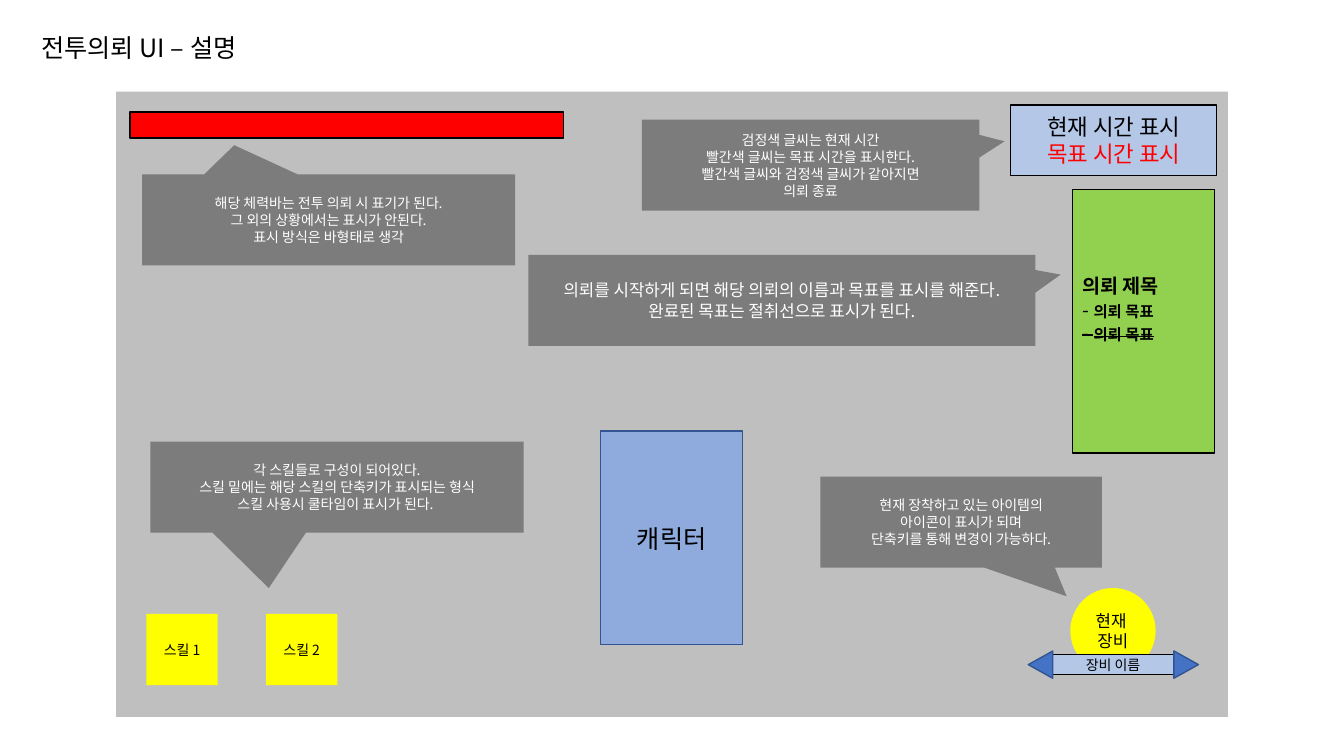
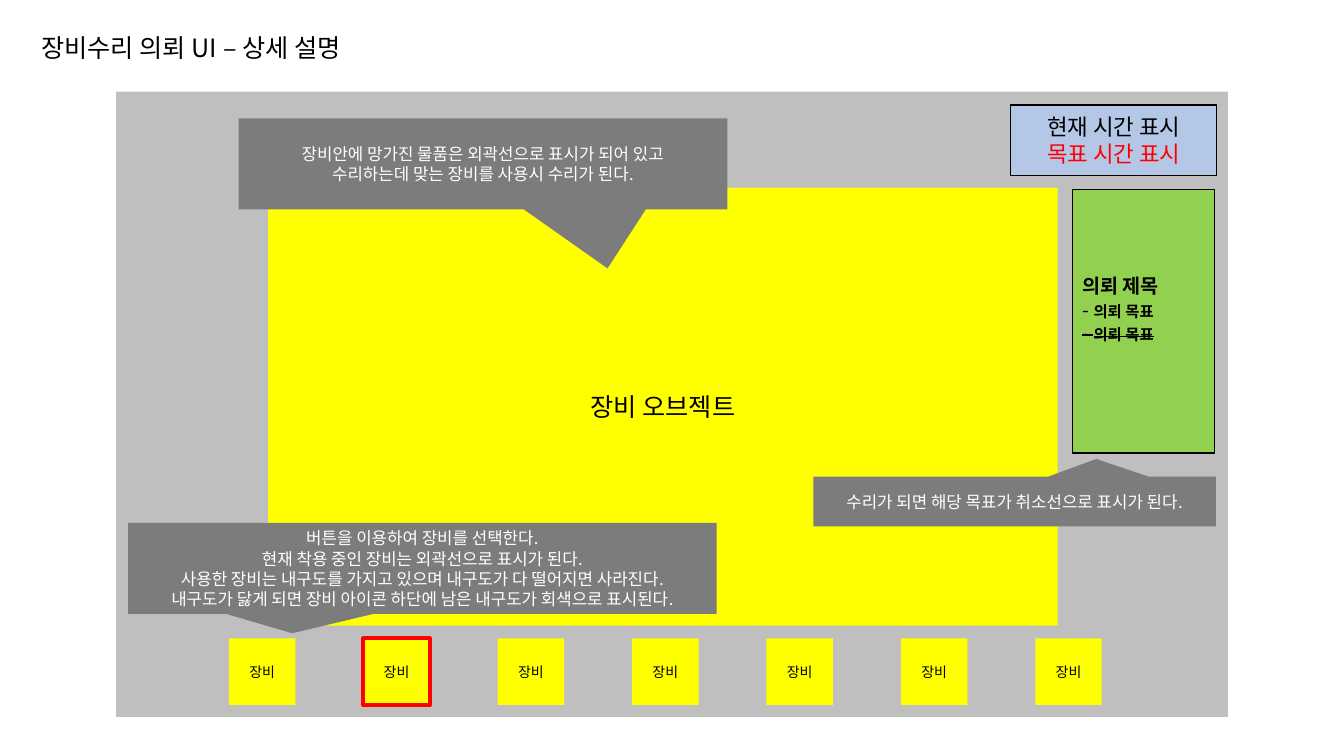
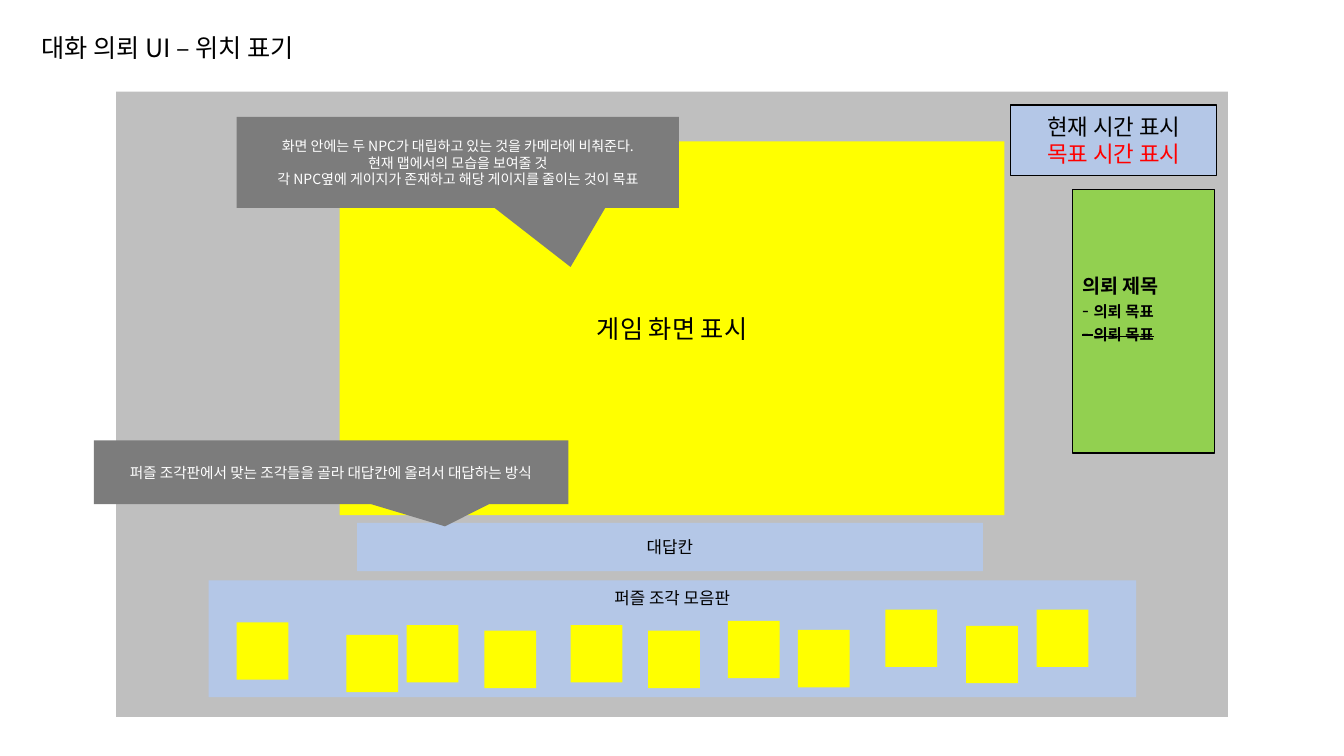
import pptx
import pptx.dml.color
import pptx.enum.shapes
import pptx.enum.text
import pptx.oxml.ns
import pptx.util
from lxml import etree

Pt = pptx.util.Pt
SHAPES = pptx.enum.shapes.MSO_SHAPE
ANCHOR = pptx.enum.text.MSO_ANCHOR
ALIGN = pptx.enum.text.PP_ALIGN

FONT = "Noto Sans CJK KR"
BLACK, WHITE, RED = "000000", "FFFFFF", "FF0000"
YELLOW, GREEN, CANVAS, NOTE = "FFFF00", "92D050", "BFBFBF", "7C7C7C"
PALE_BLUE, MID_BLUE, BLUE, DARK_BLUE = "B4C7E7", "8FAADC", "4472C4", "325491"


def rgb(value):
    """Turn a hex string into a colour."""
    return pptx.dml.color.RGBColor.from_string(value)


def add_run(paragraph, text, size=10, color=BLACK, bold=False, strike=False):
    """Append one formatted run to a paragraph."""
    run = paragraph.add_run()
    run.text = text
    run.font.size = Pt(size)
    run.font.bold = bold
    run.font.color.rgb = rgb(color)
    run.font.name = FONT
    properties = run._r.get_or_add_rPr()
    etree.SubElement(properties, pptx.oxml.ns.qn("a:ea"), typeface=FONT)
    if strike:
        properties.set("strike", "sngStrike")


def add_paragraphs(shape, count, align):
    """Return the requested number of aligned paragraphs of a shape."""
    frame = shape.text_frame
    frame.word_wrap = True
    for _ in range(count - 1):
        frame.add_paragraph()
    for paragraph in frame.paragraphs:
        paragraph.alignment = align
    return frame.paragraphs


def add_box(slide, box, fill=None, line=None, line_width=1, kind=SHAPES.RECTANGLE,
            lines=(), **text_format):
    """Draw a preset shape with optional centred lines of text."""
    shape = slide.shapes.add_shape(kind, *map(Pt, box))
    shape.shadow.inherit = False
    if fill:
        shape.fill.solid()
        shape.fill.fore_color.rgb = rgb(fill)
    else:
        shape.fill.background()
    if line:
        shape.line.color.rgb = rgb(line)
        shape.line.width = Pt(line_width)
    else:
        shape.line.fill.background()
    shape.text_frame.vertical_anchor = ANCHOR.MIDDLE
    if lines:
        for paragraph, text in zip(add_paragraphs(shape, len(lines), ALIGN.CENTER), lines):
            add_run(paragraph, text, **text_format)
    return shape


def add_callout(slide, box, tip, lines, size=10):
    """Draw a grey callout whose tip is given relative to its centre."""
    callout = add_box(slide, box, NOTE, kind=SHAPES.RECTANGULAR_CALLOUT,
                      lines=lines, size=size, color=WHITE)
    callout.adjustments[0], callout.adjustments[1] = tip


def add_title(slide, text, width):
    """Write the slide title."""
    title = slide.shapes.add_textbox(Pt(22.5), Pt(19.5), Pt(width), Pt(29))
    title.text_frame.word_wrap = False
    title.text_frame.auto_size = pptx.enum.text.MSO_AUTO_SIZE.SHAPE_TO_FIT_TEXT
    add_run(title.text_frame.paragraphs[0], text, size=18)


def add_clock(slide):
    """Draw the current and target time box."""
    clock = add_box(slide, (722, 75, 147, 50.5), PALE_BLUE, BLACK)
    current, target = add_paragraphs(clock, 2, ALIGN.CENTER)
    add_run(current, "현재 시간 표시", size=16)
    add_run(target, "목표 시간 표시", size=16, color=RED)


def add_quest(slide):
    """Draw the quest panel with one open and one finished goal."""
    quest = add_box(slide, (766, 135.5, 101.5, 188), GREEN, BLACK)
    quest.text_frame.margin_bottom = Pt(20.5)
    heading, *goals = add_paragraphs(quest, 3, ALIGN.LEFT)
    add_run(heading, "의뢰 제목", size=14, bold=True)
    for goal, finished in zip(goals, (False, True)):
        add_run(goal, "- ", size=14, strike=finished)
        add_run(goal, "의뢰 목표", size=11, bold=True, strike=finished)


def add_screen(presentation, title, title_width):
    """Add a slide with its title and the empty game canvas."""
    slide = presentation.slides.add_slide(presentation.slide_layouts[6])
    add_title(slide, title, title_width)
    add_box(slide, (83, 65.5, 794, 446.5), CANVAS)
    return slide


def build_battle(presentation):
    """Build the battle quest slide."""
    slide = add_screen(presentation, "전투의뢰 UI – 설명", 170)
    add_box(slide, (429, 308, 101.5, 152.5), MID_BLUE, DARK_BLUE, lines=["캐릭터"], size=18)
    add_clock(slide)
    add_quest(slide)
    add_box(slide, (93, 80, 309.5, 18.5), RED, BLACK)
    add_box(slide, (764.5, 420, 61, 61), YELLOW, kind=SHAPES.OVAL,
            lines=["현재 ", "장비"], size=12)
    add_box(slide, (751.5, 467.5, 87, 14.5), PALE_BLUE, BLACK, lines=["장비 이름"])
    for left, rotation in ((837.5, 90), (733.5, 270)):
        arrow = add_box(slide, (left, 466, 19.5, 17.5), BLUE, DARK_BLUE,
                        kind=SHAPES.ISOSCELES_TRIANGLE)
        arrow.rotation = rotation
    for index in range(2):
        add_box(slide, (104.5 + 85.5 * index, 438.5, 51, 51), YELLOW,
                lines=[f"스킬 {index + 1}"])
    add_callout(slide, (458.5, 85.5, 241, 65), (0.575, -0.262), [
        "검정색 글씨는 현재 시간",
        "빨간색 글씨는 목표 시간을 표시한다.",
        "빨간색 글씨와 검정색 글씨가 같아지면",
        "의뢰 종료"])
    add_callout(slide, (377.5, 182, 362, 65), (0.55, -0.282), [
        "의뢰를 시작하게 되면 해당 의뢰의 이름과 목표를 표시를 해준다.",
        "완료된 목표는 절취선으로 표시가 된다."], size=12)
    add_callout(slide, (586, 340.5, 201, 65), (0.375, 0.814), [
        "현재 장착하고 있는 아이템의",
        "아이콘이 표시가 되며",
        "단축키를 통해 변경이 가능하다."])
    add_callout(slide, (101.5, 124.5, 266.5, 65), (-0.253, -0.82), [
        "해당 체력바는 전투 의뢰 시 표기가 된다.",
        "그 외의 상황에서는 표시가 안된다.",
        "표시 방식은 바형태로 생각"])
    add_callout(slide, (107.5, 315.5, 266.5, 65), (-0.183, 1.109), [
        "각 스킬들로 구성이 되어있다.",
        "스킬 밑에는 해당 스킬의 단축키가 표시되는 형식",
        "스킬 사용시 쿨타임이 표시가 된다. "])


def build_repair(presentation):
    """Build the equipment repair quest slide."""
    slide = add_screen(presentation, "장비수리 의뢰 UI – 상세 설명", 255.5)
    add_clock(slide)
    add_box(slide, (191.5, 134, 564, 313), YELLOW, lines=["장비 오브젝트"], size=18)
    tools = [(163.5 + 96 * index, 456, 47.5, 47.5) for index in range(7)]
    for tool in tools:
        add_box(slide, tool, YELLOW, lines=["장비"])
    add_callout(slide, (91.5, 373.5, 420.5, 65), (-0.221, 0.713), [
        "버튼을 이용하여 장비를 선택한다.",
        "현재 착용 중인 장비는 외곽선으로 표시가 된다.",
        "사용한 장비는 내구도를 가지고 있으며 내구도가 다 떨어지면 사라진다.",
        "내구도가 닳게 되면 장비 아이콘 하단에 남은 내구도가 회색으로 표시된다."], size=12)
    add_callout(slide, (170.5, 84.5, 349, 65), (0.255, 1.149), [
        "장비안에 망가진 물품은 외곽선으로 표시가 되어 있고",
        "수리하는데 맞는 장비를 사용시 수리가 된다."], size=12)
    add_quest(slide)
    add_callout(slide, (581, 340.5, 287.5, 35.5), (0.203, -0.857),
                ["수리가 되면 해당 목표가 취소선으로 표시가 된다."], size=12)
    add_box(slide, tools[1], line=RED, line_width=3)


def build_dialogue(presentation):
    """Build the dialogue quest slide."""
    slide = add_screen(presentation, "대화 의뢰 UI – 위치 표기", 219)
    add_quest(slide)
    add_box(slide, (242.5, 101, 475, 267), YELLOW, lines=["게임 화면 표시"], size=18)
    add_clock(slide)
    board = add_box(slide, (149, 414.5, 662.5, 83.5), PALE_BLUE,
                    lines=["퍼즐 조각 모음판"], size=12)
    board.text_frame.vertical_anchor = ANCHOR.TOP
    board.text_frame.margin_top = Pt(5)
    pieces = ((169, 444.5), (247.5, 453.5), (290.5, 446.5), (346, 450.5), (407.5, 446.5),
              (463, 450.5), (520, 443.5), (570, 450), (632.5, 435.5), (690, 447), (740.5, 435.5))
    for left, top in pieces:
        add_box(slide, (left, top, 37, 41), YELLOW)
    add_callout(slide, (169, 83.5, 316, 65), (0.255, 1.149), [
        "화면 안에는 두 NPC가 대립하고 있는 것을 카메라에 비춰준다.",
        "현재 맵에서의 모습을 보여줄 것",
        "각 NPC옆에 게이지가 존재하고 해당 게이지를 줄이는 것이 목표"])
    add_box(slide, (255, 373.5, 447, 34.5), PALE_BLUE, lines=["대답칸"], size=12)
    add_callout(slide, (67, 314.5, 339, 45.5), (0.24, 0.851),
                ["퍼즐 조각판에서 맞는 조각들을 골라 대답칸에 올려서 대답하는 방식"], size=10.5)


def main():
    """Build and save the presentation."""
    presentation = pptx.Presentation()
    presentation.slide_width = Pt(960)
    presentation.slide_height = Pt(540)
    build_battle(presentation)
    build_repair(presentation)
    build_dialogue(presentation)
    presentation.save("out.pptx")


if __name__ == "__main__":
    main()
